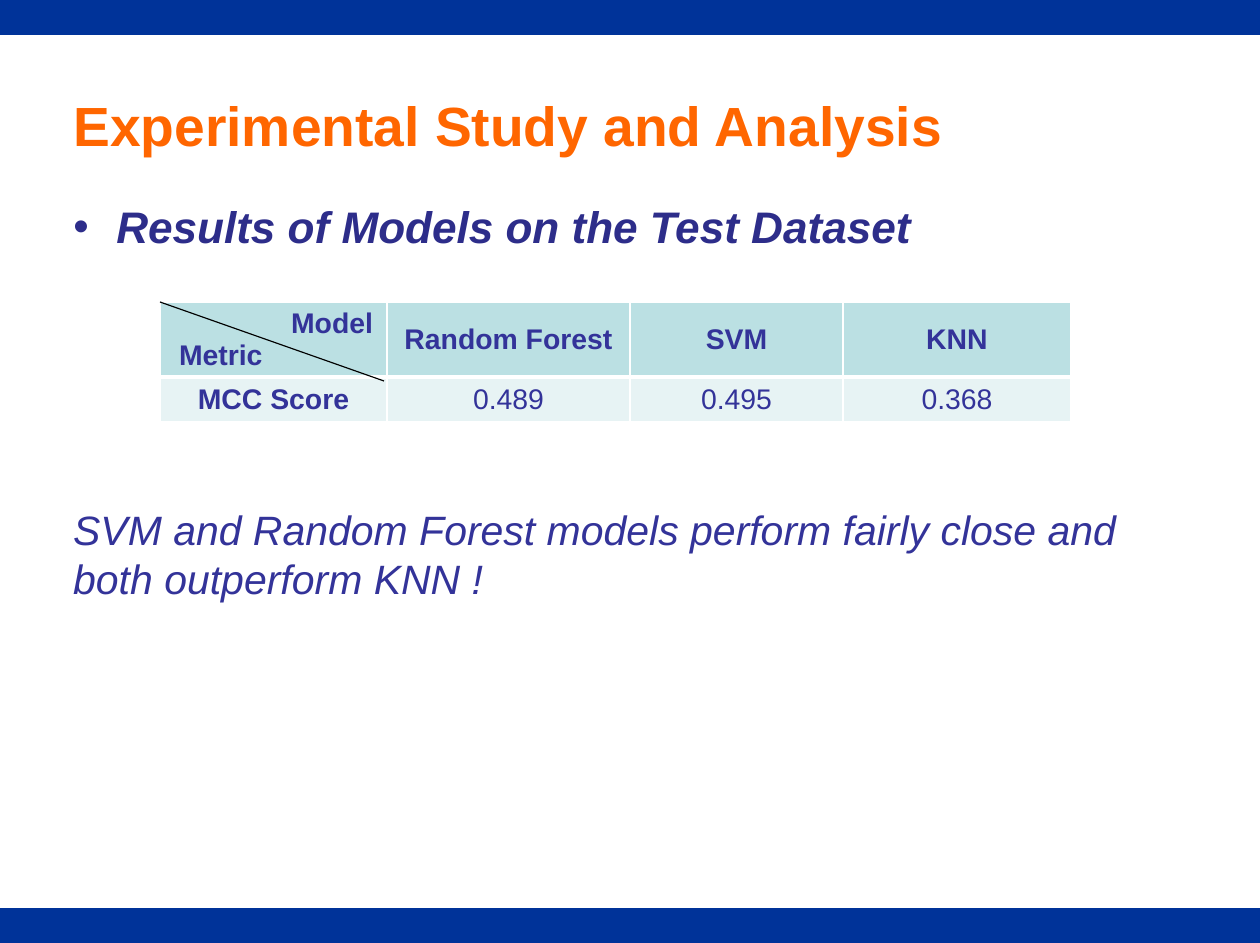
from lxml import etree
from pptx import Presentation, util as u
from pptx.dml.color import RGBColor
from pptx.enum import shapes, text
from pptx.oxml import ns

SCALE = 914400 / 113.5
WIDTH, HEIGHT, BAR_HEIGHT = 1260, 943, 35
NAVY, ORANGE, INDIGO, DARK_INDIGO = "003399", "FF6600", "333399", "2D2D8A"
HEADER_FILL, SCORE_FILL, WHITE, BLACK = "BBE0E3", "E7F3F4", "FFFFFF", "000000"
LEFT, CENTER, RIGHT = text.PP_ALIGN.LEFT, text.PP_ALIGN.CENTER, text.PP_ALIGN.RIGHT
COLUMN_WIDTHS = [227, 243, 213, 228]
ROW_HEIGHTS = [75, 45]
MODELS = ["Random Forest", "SVM", "KNN"]
SCORES = ["0.489", "0.495", "0.368"]


def px(length):
    """Turn pixels into EMU."""
    return u.Emu(round(length * SCALE))


def color(value):
    """Turn a hex string into a colour."""
    return RGBColor.from_string(value)


def place(shape, left, top, width, height):
    """Move and size a shape in pixels."""
    shape.left, shape.top = px(left), px(top)
    shape.width, shape.height = px(width), px(height)


def write(para, words, size, shade, bold=False, italic=False, align=LEFT):
    """Add one formatted run to a paragraph."""
    para.alignment = align
    para.space_before = u.Pt(0)
    span = para.add_run()
    span.text = words
    font = span.font
    font.name, font.size = "Arial", u.Pt(size)
    font.bold, font.italic = bold, italic
    font.color.rgb = color(shade)


def set_frame(box, anchor):
    """Make a text box wrap at a fixed size and return its first paragraph."""
    frame = box.text_frame
    frame.word_wrap = True
    frame.auto_size = text.MSO_AUTO_SIZE.NONE
    frame.vertical_anchor = anchor
    return frame.paragraphs[0]


def add_bar(page, top):
    """Add a full-width navy band."""
    bar = page.shapes.add_shape(
        shapes.MSO_SHAPE.RECTANGLE, 0, px(top), px(WIDTH), px(BAR_HEIGHT))
    bar.shadow.inherit = False
    bar.fill.solid()
    bar.fill.fore_color.rgb = color(NAVY)
    bar.line.fill.background()


def add_title(page, words):
    """Fill the title placeholder."""
    title = page.shapes.title
    place(title, 62, 45, 1107, 158)
    para = set_frame(title, text.MSO_ANCHOR.MIDDLE)
    write(para, words, 35, ORANGE, bold=True)


def add_bullet(page, words):
    """Fill the body placeholder with one bulleted line."""
    body = page.placeholders[1]
    place(body, 62, 194, 950, 65)
    para = set_frame(body, text.MSO_ANCHOR.TOP)
    write(para, words, 28, DARK_INDIGO, bold=True, italic=True)
    props = para._p.get_or_add_pPr()
    props.set("marL", str(px(43)))
    props.set("indent", str(-px(43)))
    etree.SubElement(props, ns.qn("a:buChar"), char="•")


def add_summary(page, words):
    """Add the concluding sentence."""
    box = page.shapes.add_textbox(px(62), px(499), px(1123), px(160))
    para = set_frame(box, text.MSO_ANCHOR.TOP)
    write(para, words, 26, INDIGO, italic=True)


def style_cell(cell, fill, bottom_width):
    """Give a cell its fill and white borders."""
    cell.fill.solid()
    cell.fill.fore_color.rgb = color(fill)
    cell.vertical_anchor = text.MSO_ANCHOR.MIDDLE
    props = cell._tc.get_or_add_tcPr()
    widths = {"lnL": 1, "lnR": 1, "lnT": 1, "lnB": bottom_width}
    for position, (edge, width) in enumerate(widths.items()):
        line = etree.Element(ns.qn("a:" + edge), w=str(u.Pt(width)))
        solid = etree.SubElement(line, ns.qn("a:solidFill"))
        etree.SubElement(solid, ns.qn("a:srgbClr"), val=WHITE)
        props.insert(position, line)


def add_scores(page, left, top):
    """Add the table of scores by model."""
    frame = page.shapes.add_table(
        len(ROW_HEIGHTS), len(COLUMN_WIDTHS), px(left), px(top),
        px(sum(COLUMN_WIDTHS)), px(sum(ROW_HEIGHTS)))
    table = frame.table
    for column, width in zip(table.columns, COLUMN_WIDTHS):
        column.width = px(width)
    for row, height in zip(table.rows, ROW_HEIGHTS):
        row.height = px(height)

    for r, labels in enumerate([[""] + MODELS, ["MCC Score"] + SCORES]):
        header = r == 0
        for c, label in enumerate(labels):
            cell = table.cell(r, c)
            style_cell(cell, HEADER_FILL if header else SCORE_FILL, 3 if header else 1)
            if label:
                write(cell.text_frame.paragraphs[0], label, 18, INDIGO,
                      bold=header or c == 0, align=CENTER)

    corner = table.cell(0, 0)
    corner.vertical_anchor = text.MSO_ANCHOR.TOP
    corner.margin_left, corner.margin_right = px(19), px(14)
    write(corner.text_frame.paragraphs[0], "Model", 18, INDIGO, bold=True, align=RIGHT)
    write(corner.text_frame.add_paragraph(), "Metric", 18, INDIGO, bold=True)


def add_diagonal(page, left, top, right, bottom):
    """Add the line that splits the corner cell."""
    line = page.shapes.add_connector(
        shapes.MSO_CONNECTOR.STRAIGHT, px(left), px(top), px(right), px(bottom))
    line.line.color.rgb = color(BLACK)
    line.line.width = u.Pt(0.75)
    etree.SubElement(line._element.spPr, ns.qn("a:effectLst"))


def main():
    """Build and save the slide."""
    deck = Presentation()
    deck.slide_width, deck.slide_height = px(WIDTH), px(HEIGHT)
    page = deck.slides.add_slide(deck.slide_layouts[1])
    for top in (0, HEIGHT - BAR_HEIGHT):
        add_bar(page, top)
    add_title(page, "Experimental Study and Analysis")
    add_bullet(page, "Results of Models on the Test Dataset")
    add_scores(page, 160, 302)
    add_diagonal(page, 160, 302, 384, 381)
    add_summary(page, "SVM and Random Forest models perform fairly close "
                      "and both outperform KNN !")
    deck.save("out.pptx")


main()
